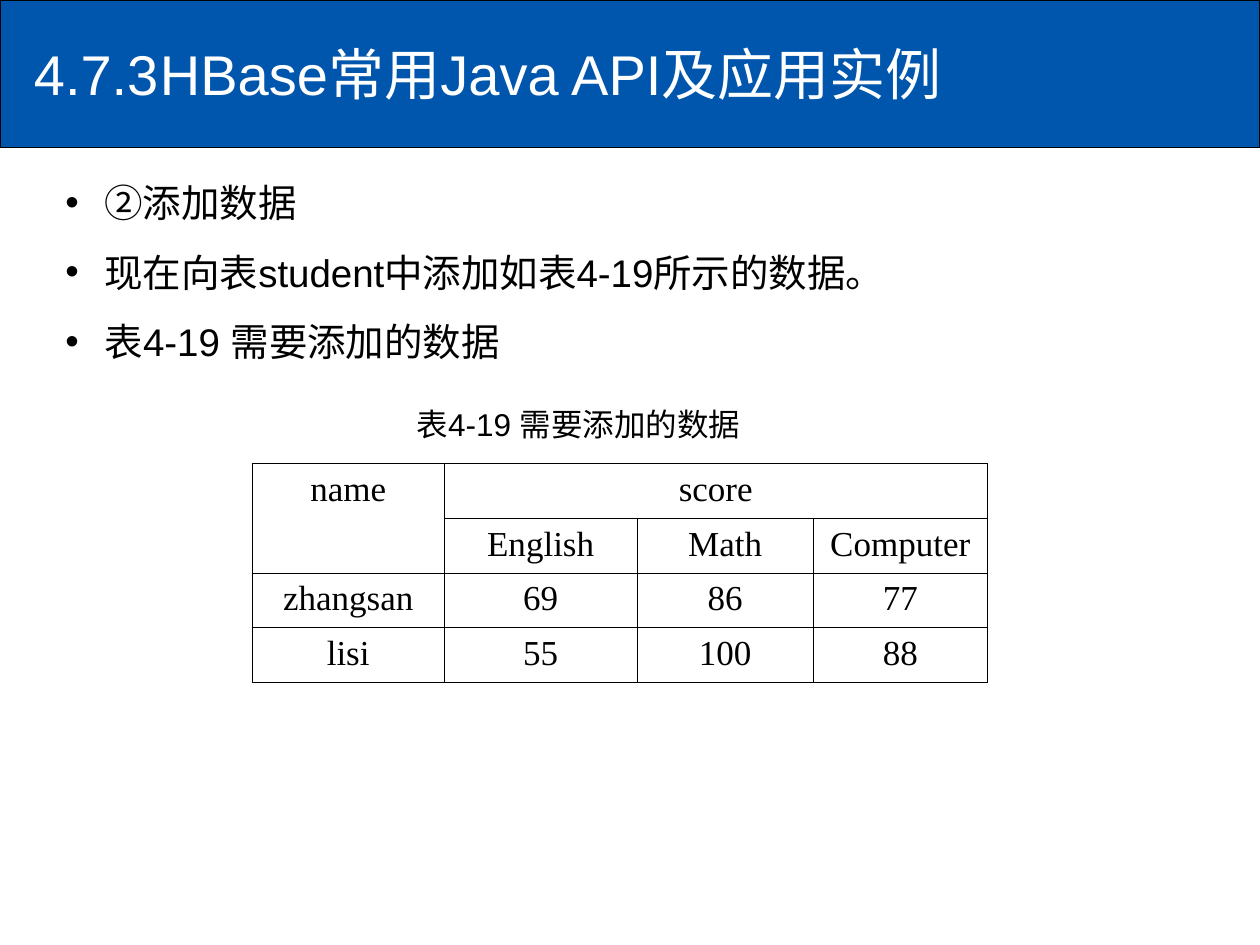
import pptx
import pptx.dml.color
import pptx.enum.shapes
import pptx.enum.text
import pptx.oxml
import pptx.util
from pptx.util import Cm

# Content
TITLE = "4.7.3\tHBase常用Java API及应用实例"
BULLETS = [
    "②添加数据",
    "现在向表student中添加如表4-19所示的数据。",
    "表4-19 需要添加的数据",
]
CAPTION = "表4-19 需要添加的数据"
ROWS = [
    ["name", "score", "", ""],
    ["", "English", "Math", "Computer"],
    ["zhangsan", "69", "86", "77"],
    ["lisi", "55", "100", "88"],
]
MERGES = [((0, 0), (1, 0)), ((0, 1), (0, 3))]
COL_WIDTHS = [3.88, 3.88, 3.56, 3.5]
ROW_HEIGHT = 0.85

THEME = {
    "blue": "0056AC", "white": "FFFFFF", "black": "000000",
    "sans": "Arial", "serif": "Times New Roman",
    "title": 32, "body": 22, "cell": 20, "caption": 18,
    "band_line": 0.75, "cell_line": 0.45,
}
ALIGN = pptx.enum.text.PP_ALIGN
ANCHOR = pptx.enum.text.MSO_ANCHOR
NS = 'xmlns:a="http://schemas.openxmlformats.org/drawingml/2006/main"'


def rgb(name):
    return pptx.dml.color.RGBColor.from_string(THEME[name])


def add_xml(parent, xml):
    parent.append(pptx.oxml.parse_xml(xml))


def write(p, text, size="body", font="sans", color="black", align=ALIGN.LEFT, spacing=None):
    p.alignment = align
    if spacing:
        p.line_spacing = spacing
    r = p.add_run()
    r.text = text
    r.font.size = pptx.util.Pt(THEME[size])
    r.font.name = THEME[font]
    r.font.color.rgb = rgb(color)


def add_bullet(p, indent):
    pPr = p._p.get_or_add_pPr()
    pPr.set("marL", str(indent))
    pPr.set("indent", str(-indent))
    add_xml(pPr, f'<a:buClr {NS}><a:srgbClr val="{THEME["black"]}"/></a:buClr>')
    add_xml(pPr, f'<a:buFont {NS} typeface="{THEME["sans"]}"/>')
    add_xml(pPr, f'<a:buChar {NS} char="•"/>')


def add_borders(cell):
    tcPr = cell._tc.get_or_add_tcPr()
    width = pptx.util.Pt(THEME["cell_line"])
    for side in ("lnL", "lnR", "lnT", "lnB"):
        add_xml(tcPr, f'<a:{side} {NS} w="{width}"><a:solidFill>'
                      f'<a:srgbClr val="{THEME["black"]}"/></a:solidFill></a:{side}>')


prs = pptx.Presentation()
prs.slide_width, prs.slide_height = Cm(25.4), Cm(19.05)
s = prs.slides.add_slide(prs.slide_layouts[5])

# Title on its blue band
title = s.shapes.title
band = s.shapes.add_shape(pptx.enum.shapes.MSO_SHAPE.RECTANGLE, 0, 0, prs.slide_width, Cm(2.97))
band.shadow.inherit = False
band.fill.solid()
band.fill.fore_color.rgb = rgb("blue")
band.line.color.rgb = rgb("black")
band.line.width = pptx.util.Pt(THEME["band_line"])
title.element.addprevious(band.element)

title.left, title.top, title.width, title.height = Cm(0.43), Cm(0.2), Cm(22.23), Cm(2.54)
title.text_frame.vertical_anchor = ANCHOR.MIDDLE
write(title.text_frame.paragraphs[0], TITLE, size="title", color="white")

# Bullets
tf = s.shapes.add_textbox(Cm(1.07), Cm(3.02), Cm(19.25), Cm(4.45)).text_frame
tf.word_wrap = True
tf.vertical_anchor = ANCHOR.MIDDLE
for i, text in enumerate(BULLETS):
    p = tf.add_paragraph() if i else tf.paragraphs[0]
    add_bullet(p, Cm(0.79))
    write(p, text, spacing=1.5)

# Table caption
tf = s.shapes.add_textbox(Cm(8.15), Cm(8.05), Cm(7.34), Cm(1.02)).text_frame
tf.word_wrap = False
write(tf.paragraphs[0], CAPTION, size="caption")

# Score table
frame = s.shapes.add_table(len(ROWS), len(COL_WIDTHS), Cm(5.08), Cm(9.35),
                           Cm(sum(COL_WIDTHS)), Cm(ROW_HEIGHT * len(ROWS)))
table = frame.table
table.first_row = table.horz_banding = False
for column, width in zip(table.columns, COL_WIDTHS):
    column.width = Cm(width)
for i, row in enumerate(ROWS):
    table.rows[i].height = Cm(ROW_HEIGHT)
    for j, text in enumerate(row):
        cell = table.cell(i, j)
        cell.margin_left = cell.margin_right = Cm(0.2)
        add_borders(cell)
        cell.fill.background()
        if text:
            write(cell.text_frame.paragraphs[0], text, size="cell", font="serif",
                  align=ALIGN.CENTER)
for start, end in MERGES:
    table.cell(*start).merge(table.cell(*end))

prs.save("out.pptx")
